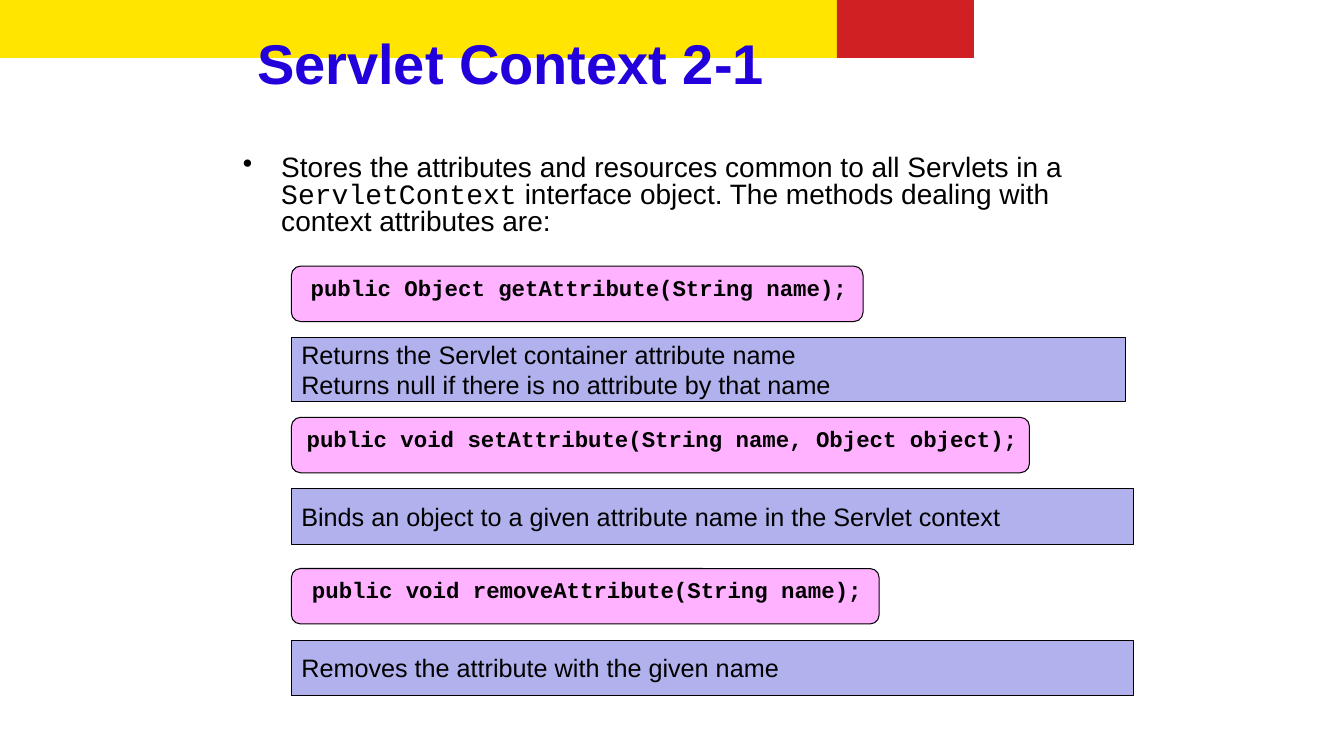
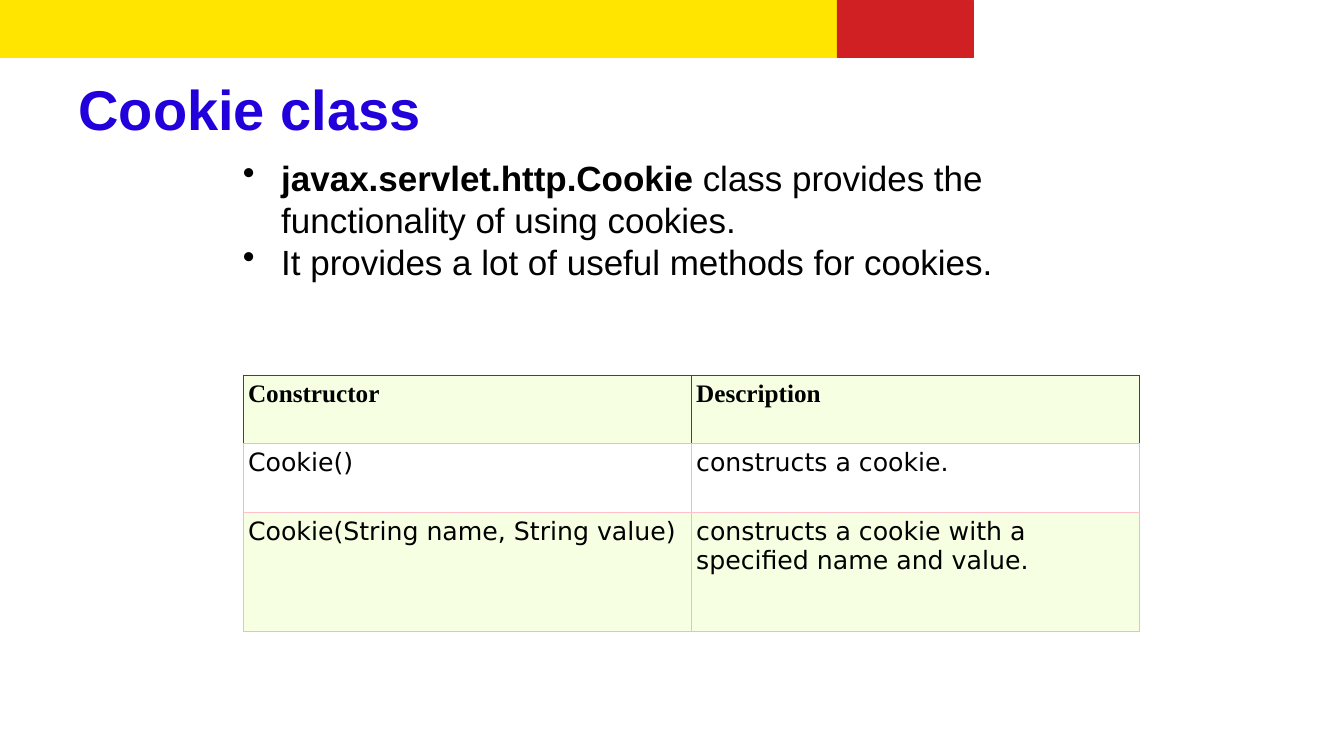
from dataclasses import dataclass

import lxml.etree
import pptx
import pptx.dml.color
import pptx.enum.shapes
import pptx.enum.text
import pptx.oxml.ns
import pptx.util

Inches = pptx.util.Inches
Shape = pptx.enum.shapes.MSO_SHAPE
Align = pptx.enum.text.PP_ALIGN
Anchor = pptx.enum.text.MSO_ANCHOR
qn = pptx.oxml.ns.qn

COLORS = {
    "yellow": "FFE500", "red": "D12023", "title": "2200DC", "black": "000000",
    "code": "FF66FF", "note": "B1B1ED", "cream": "F6FFE1", "white": "FFFFFF",
    "header_edge": "444444", "edge": "CCCCCC", "pink": "FFC0CB",
}
SANS, MONO = "Arial", "Courier New"


@dataclass
class Style:
    name: str
    size: float
    bold: bool = False
    color: str = "black"


@dataclass
class Span:
    text: str
    name: str | None = None
    bold: bool | None = None


@dataclass
class Method:
    code: str
    code_width: float
    notes: list[str]
    note_width: float = 8.35
    note_height: float = 0.55


@dataclass
class Row:
    cells: list[str]
    height: float
    fill: str
    style: Style
    edges: dict[str, str]


TITLE = Style(SANS, 40, True, "title")
CODE = Style(MONO, 16, True)
NOTE = Style(SANS, 18)
HEADER = Style("Times New Roman", 18, True)
CELL = Style("DejaVu Sans", 18)

METHODS = [
    Method(" public Object getAttribute(String name);", 5.67,
           ["Returns the Servlet container attribute name",
            "Returns null if there is no attribute by that name"], 8.27, 0.63),
    Method(" public void setAttribute(String name, Object object);", 7.32,
           ["Binds an object to a given attribute name in the Servlet context"]),
    Method(" public void removeAttribute(String name);", 5.83,
           ["Removes the attribute with the given name"]),
]
ROWS = [
    Row(["Constructor", "Description"], 0.68, "cream", HEADER,
        {"L": "header_edge", "R": "header_edge", "T": "header_edge", "B": "edge"}),
    Row(["Cookie()", "constructs a cookie."], 0.68, "white", CELL,
        {"L": "edge", "R": "edge", "T": "edge", "B": "pink"}),
    Row(["Cookie(String name, String value)",
         "constructs a cookie with a specified name and value."], 1.18, "cream", CELL,
        {"L": "edge", "R": "edge", "T": "pink", "B": "edge"}),
]


def rgb(color: str) -> pptx.dml.color.RGBColor:
    return pptx.dml.color.RGBColor.from_string(COLORS[color])


def set_margins(frame, left: float, top: float, right: float, bottom: float) -> None:
    frame.margin_left, frame.margin_top = Inches(left), Inches(top)
    frame.margin_right, frame.margin_bottom = Inches(right), Inches(bottom)


def set_font(para, style: Style) -> None:
    para.font.name = style.name
    para.font.size = pptx.util.Pt(style.size)
    para.font.bold = style.bold
    para.font.color.rgb = rgb(style.color)


def write(frame, lines: list[str], style: Style, align=Align.LEFT) -> None:
    for index, line in enumerate(lines):
        para = frame.add_paragraph() if index else frame.paragraphs[0]
        para.text = line
        para.alignment = align
        set_font(para, style)


def add_box(page, kind, left: float, top: float, width: float, height: float,
            fill: str, line: str, weight: float):
    box = page.shapes.add_shape(kind, Inches(left), Inches(top), Inches(width), Inches(height))
    box.shadow.inherit = False
    box.fill.solid()
    box.fill.fore_color.rgb = rgb(fill)
    box.line.color.rgb = rgb(line)
    box.line.width = pptx.util.Pt(weight)
    return box


def add_text_frame(page, left: float, top: float, width: float, height: float):
    frame = page.shapes.add_textbox(
        Inches(left), Inches(top), Inches(width), Inches(height)).text_frame
    frame.word_wrap = True
    set_margins(frame, 0, 0, 0, 0)
    return frame


def add_page(deck, title: str, left: float, top: float, width: float):
    """Blank page with the colour bands and the title."""
    page = deck.slides.add_slide(deck.slide_layouts[6])
    for band_left, band_width, color in ((0, 8.3, "yellow"), (8.3, 1.35, "red")):
        add_box(page, Shape.RECTANGLE, band_left, 0, band_width, 0.57, color, color, 0.25)
    write(add_text_frame(page, left, top, width, 0.67), [title], TITLE)
    return page


def add_bullets(page, width: float, height: float, size: float,
                items: list[list[Span]], spacing: float = 1.0) -> None:
    frame = add_text_frame(page, 2.41, 1.55, width, height)
    for index, spans in enumerate(items):
        para = frame.add_paragraph() if index else frame.paragraphs[0]
        properties = para._p.get_or_add_pPr()
        properties.set("marL", str(Inches(0.38)))
        properties.set("indent", str(-Inches(0.38)))
        lxml.etree.SubElement(properties, qn("a:buChar"), char="•")
        para.line_spacing = spacing
        set_font(para, Style(SANS, size))
        for span in spans:
            run = para.add_run()
            run.text = span.text
            if span.name:
                run.font.name = span.name
            if span.bold:
                run.font.bold = True


def add_method(page, method: Method, top: float) -> None:
    """Signature box with its explanation below."""
    code = add_box(page, Shape.FLOWCHART_ALTERNATE_PROCESS, 2.89, top,
                   method.code_width, 0.55, "code", "black", 0.75)
    color = code.fill._xPr.find(qn("a:solidFill"))[0]
    lxml.etree.SubElement(color, qn("a:alpha"), val="50000")
    set_margins(code.text_frame, 0, 0.05, 0.1, 0.05)
    code.text_frame.vertical_anchor = Anchor.TOP
    code.text_frame.word_wrap = False
    write(code.text_frame, [method.code], CODE, Align.CENTER)

    note = add_box(page, Shape.RECTANGLE, 2.89, top + 0.71,
                   method.note_width, method.note_height, "note", "black", 0.75)
    note.text_frame.vertical_anchor = Anchor.MIDDLE
    note.text_frame.word_wrap = False
    write(note.text_frame, method.notes, NOTE)


def set_edges(cell, edges: dict[str, str]) -> None:
    properties = cell._tc.get_or_add_tcPr()
    for side, color in edges.items():
        line = lxml.etree.SubElement(properties, qn(f"a:ln{side}"), w=str(pptx.util.Pt(0.75)))
        fill = lxml.etree.SubElement(line, qn("a:solidFill"))
        lxml.etree.SubElement(fill, qn("a:srgbClr"), val=COLORS[color])


def add_constructor_table(page, rows: list[Row]) -> None:
    height = sum(row.height for row in rows)
    table = page.shapes.add_table(len(rows), 2, Inches(2.41), Inches(3.72),
                                  Inches(8.89), Inches(height)).table
    table.first_row = table.horz_banding = False
    for row_index, row in enumerate(rows):
        table.rows[row_index].height = Inches(row.height)
        for column, text in enumerate(row.cells):
            cell = table.cell(row_index, column)
            set_edges(cell, row.edges)
            cell.fill.solid()
            cell.fill.fore_color.rgb = rgb(row.fill)
            set_margins(cell, 0.05, 0.05, 0.05, 0.05)
            write(cell.text_frame, [text], row.style)


def main() -> None:
    deck = pptx.Presentation()
    deck.slide_width, deck.slide_height = Inches(13.33), Inches(7.5)

    # Servlet context methods
    page = add_page(deck, "Servlet Context 2-1", 2.55, 0.28, 9)
    add_bullets(page, 8.9, 0.81, 20, [[
        Span("Stores the attributes and resources common to all Servlets in a "),
        Span("ServletContext", name=MONO),
        Span(" interface object. The methods dealing with context attributes are:"),
    ]], spacing=0.8)
    for index, method in enumerate(METHODS):
        add_method(page, method, 2.64 + 1.5 * index)

    # Cookie constructors
    page = add_page(deck, "Cookie class", 0.78, 0.74, 11.77)
    add_bullets(page, 9, 1.26, 25, [
        [Span("javax.servlet.http.Cookie", bold=True),
         Span(" class provides the functionality of using cookies.")],
        [Span("It provides a lot of useful methods for cookies.")],
    ])
    add_constructor_table(page, ROWS)

    deck.save("out.pptx")


if __name__ == "__main__":
    main()
